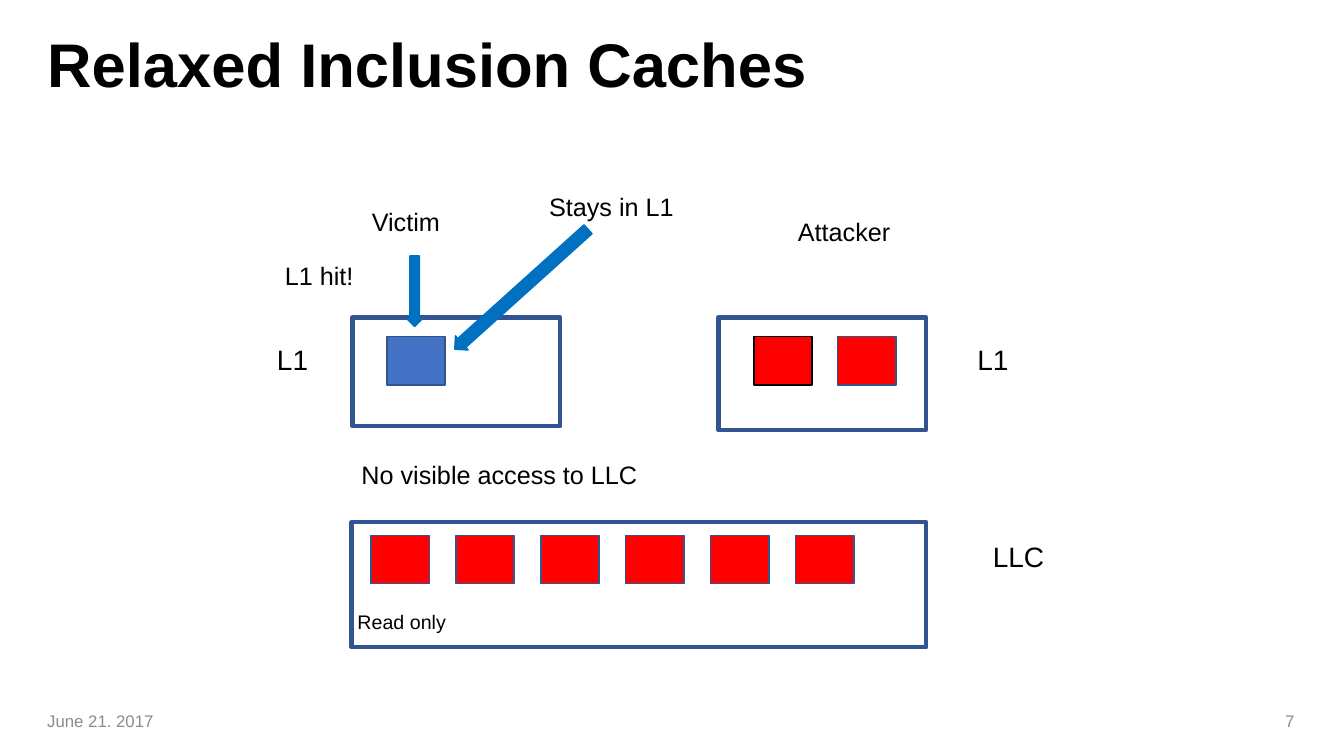
from dataclasses import dataclass

from pptx import Presentation
from pptx.dml.color import RGBColor
from pptx.enum.shapes import MSO_SHAPE
from pptx.enum.text import MSO_ANCHOR, MSO_AUTO_SIZE, PP_ALIGN
from pptx.slide import Slide
from pptx.util import Cm, Pt

RECTANGLE = MSO_SHAPE.RECTANGLE
DOWN_ARROW = MSO_SHAPE.DOWN_ARROW
TOP, MIDDLE = MSO_ANCHOR.TOP, MSO_ANCHOR.MIDDLE
LEFT, RIGHT = PP_ALIGN.LEFT, PP_ALIGN.RIGHT
FIT, FIXED = MSO_AUTO_SIZE.SHAPE_TO_FIT_TEXT, MSO_AUTO_SIZE.NONE

COLORS = {
    "text": "000000",
    "footer": "8C8C8C",
    "border": "325491",
    "victim": "4472C4",
    "attacker": "FF0000",
    "arrow": "0070C0",
}


@dataclass(frozen=True)
class Label:
    text: str
    left: float
    top: float
    width: float
    height: float = 1.02
    size: int = 18
    color: str = "text"
    bold: bool = False
    align: PP_ALIGN = LEFT
    anchor: MSO_ANCHOR = TOP
    spacing: float = 1.0


@dataclass(frozen=True)
class Cache:
    left: float
    top: float
    width: float
    height: float


@dataclass(frozen=True)
class Block:
    left: float
    top: float
    fill: str = "attacker"
    line: str = "border"


@dataclass(frozen=True)
class Arrow:
    left: float
    top: float
    width: float
    height: float
    rotation: float = 0


BLOCK_WIDTH, BLOCK_HEIGHT = 1.47, 1.22
L1_BLOCK_TOP, LLC_BLOCK_TOP = 8.48, 13.49
LLC_BLOCK_LEFT, LLC_BLOCK_PITCH, LLC_BLOCK_COUNT = 9.35, 2.14, 6

CACHES = [
    Cache(8.89, 8, 5.23, 2.74),
    Cache(18.11, 8, 5.23, 2.84),
    Cache(8.86, 13.16, 14.48, 3.15),
]

BLOCKS = [
    Block(9.75, L1_BLOCK_TOP, fill="victim"),
    Block(19, L1_BLOCK_TOP, line="text"),
    Block(21.11, L1_BLOCK_TOP),
] + [
    Block(LLC_BLOCK_LEFT + i * LLC_BLOCK_PITCH, LLC_BLOCK_TOP)
    for i in range(LLC_BLOCK_COUNT)
]

ARROWS = [
    Arrow(12.9, 5.03, 0.48, 4.52, rotation=48),
    Arrow(10.26, 6.45, 0.38, 1.78),
]

LABELS = [
    Label("Relaxed Inclusion Caches", 0.94, 0.69, 31.95, 2.01, size=44,
          bold=True, anchor=MIDDLE, spacing=0.9),
    Label("Victim", 9.12, 5.08, 3.25),
    Label("Attacker", 19.86, 5.33, 4.14),
    Label("Stays in L1", 13.59, 4.7, 5.33),
    Label("L1 hit!", 6.93, 6.43, 4.14),
    Label("No visible access to LLC", 8.86, 11.46, 10.06),
    Label("L1", 6.73, 8.5, 1.6, 1.12, size=20),
    Label("L1", 24.38, 8.5, 1.6, 1.12, size=20),
    Label("LLC", 24.77, 13.46, 2.46, 1.12, size=20),
    Label("Read only", 8.76, 15.24, 3.45, 0.86, size=14),
    Label("June 21. 2017", 0.94, 17.65, 7.62, size=12, color="footer",
          anchor=MIDDLE),
    Label("7", 25.25, 17.65, 7.62, size=12, color="footer", align=RIGHT,
          anchor=MIDDLE),
]


def rgb(name: str) -> RGBColor:
    return RGBColor.from_string(COLORS[name])


def apply_format(target: object, values: dict[str, object]) -> None:
    for attribute, value in values.items():
        setattr(target, attribute, value)


def draw_shape(slide: Slide, kind: MSO_SHAPE, left: float, top: float,
               width: float, height: float, fill: str | None, line: str,
               line_width: float, rotation: float = 0):
    shape = slide.shapes.add_shape(
        kind, Cm(left), Cm(top), Cm(width), Cm(height))
    shape.shadow.inherit = False
    shape.rotation = rotation
    if fill is None:
        shape.fill.background()
    else:
        shape.fill.solid()
        shape.fill.fore_color.rgb = rgb(fill)
    shape.line.color.rgb = rgb(line)
    shape.line.width = Pt(line_width)
    return shape


def draw_cache(slide: Slide, cache: Cache) -> None:
    draw_shape(slide, RECTANGLE, cache.left, cache.top, cache.width,
               cache.height, None, "border", 3.25)


def draw_block(slide: Slide, block: Block) -> None:
    draw_shape(slide, RECTANGLE, block.left, block.top, BLOCK_WIDTH,
               BLOCK_HEIGHT, block.fill, block.line, 1)


def draw_arrow(slide: Slide, arrow: Arrow) -> None:
    shape = draw_shape(slide, DOWN_ARROW, arrow.left, arrow.top, arrow.width,
                       arrow.height, "arrow", "arrow", 1, arrow.rotation)
    shape.adjustments[0] = 0.63


def draw_label(slide: Slide, label: Label) -> None:
    frame = slide.shapes.add_textbox(
        Cm(label.left), Cm(label.top), Cm(label.width), Cm(label.height)
    ).text_frame
    apply_format(frame, {
        "word_wrap": True,
        "auto_size": FIT if label.anchor == TOP else FIXED,
        "vertical_anchor": label.anchor,
        "text": label.text,
    })
    paragraph = frame.paragraphs[0]
    apply_format(paragraph, {
        "alignment": label.align,
        "line_spacing": label.spacing,
    })
    font = paragraph.runs[0].font
    apply_format(font, {
        "name": "Arial",
        "size": Pt(label.size),
        "bold": label.bold,
    })
    font.color.rgb = rgb(label.color)


def main() -> None:
    deck = Presentation()
    deck.slide_width, deck.slide_height = Cm(33.87), Cm(19.05)
    slide = deck.slides.add_slide(deck.slide_layouts[6])
    for cache in CACHES:
        draw_cache(slide, cache)
    for block in BLOCKS:
        draw_block(slide, block)
    for arrow in ARROWS:
        draw_arrow(slide, arrow)
    for label in LABELS:
        draw_label(slide, label)
    deck.save("out.pptx")


if __name__ == "__main__":
    main()
